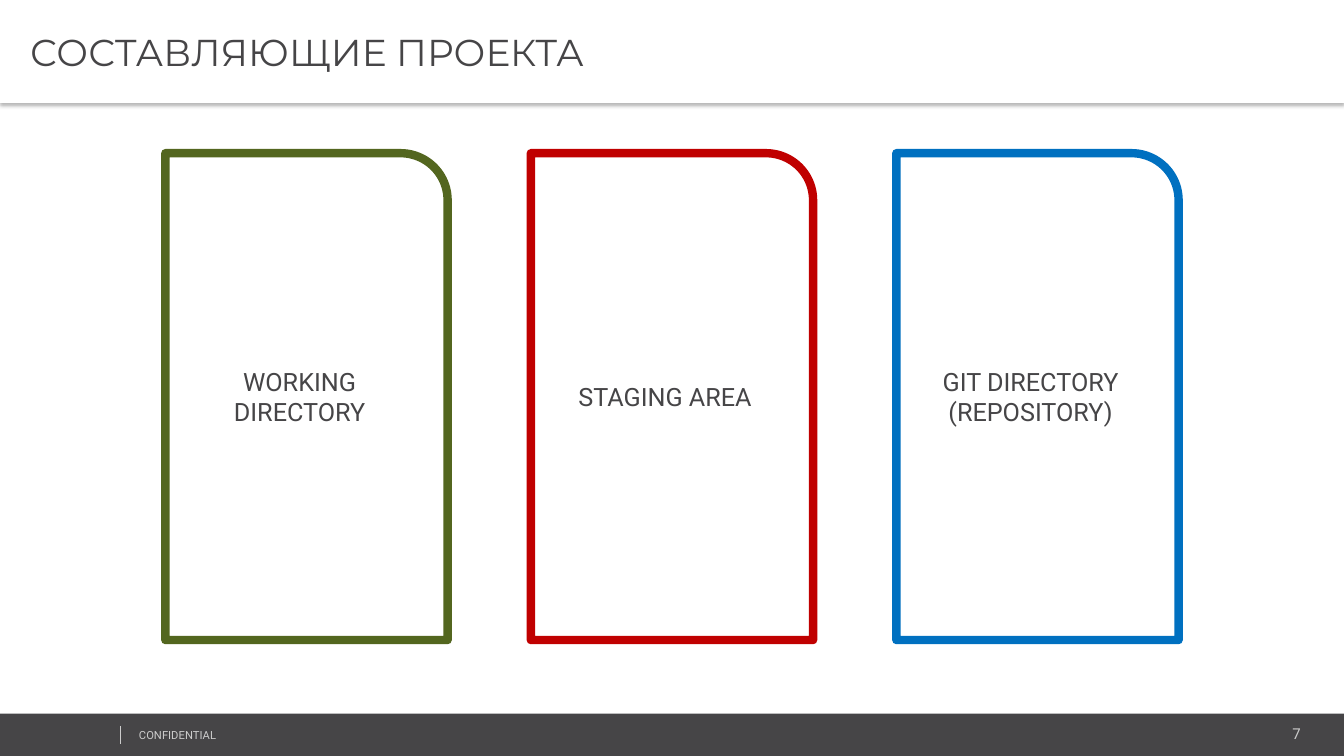
from lxml import etree
from pptx import Presentation
from pptx import util as u
from pptx.dml.color import RGBColor
from pptx.enum import shapes, text
from pptx.oxml.ns import qn

COLORS = {
    "white": "FFFFFF",
    "dark": "464547",
    "light": "CCCCCC",
    "shadow": "000000",
    "green": "53661F",
    "red": "C00000",
    "blue": "0070C0",
}
CARDS = [
    ("green", ["WORKING DIRECTORY"]),
    ("red", ["STAGING AREA"]),
    ("blue", ["GIT DIRECTORY", "(REPOSITORY)"]),
]


def rgb(name):
    """Return the named colour."""
    return RGBColor.from_string(COLORS[name])


def write(shape, lines, font, size, color, align, anchor=text.MSO_ANCHOR.MIDDLE):
    """Fill a shape with one styled paragraph per line."""
    frame = shape.text_frame
    frame.word_wrap = True
    frame.vertical_anchor = anchor
    frame.text = "\n".join(lines)
    for paragraph in frame.paragraphs:
        paragraph.alignment = align
        paragraph.font.name = font
        paragraph.font.size = u.Pt(size)
        paragraph.font.color.rgb = rgb(color)


def add_panel(slide, left, top, width, height, color):
    """Add a filled rectangle without an outline or shadow."""
    shape = slide.shapes.add_shape(
        shapes.MSO_SHAPE.RECTANGLE,
        u.Inches(left), u.Inches(top), u.Inches(width), u.Inches(height))
    shape.shadow.inherit = False
    shape.fill.solid()
    shape.fill.fore_color.rgb = rgb(color)
    shape.line.fill.background()
    return shape


def add_drop_shadow(shape):
    """Cast a soft shadow straight down from a shape."""
    effects = shape.element.spPr.find(qn("a:effectLst"))
    shadow = etree.SubElement(
        effects, qn("a:outerShdw"), blurRad=str(u.Pt(3.1)), dist=str(u.Pt(2)),
        dir="5400000", algn="t", rotWithShape="0")
    color = etree.SubElement(shadow, qn("a:srgbClr"), val=COLORS["shadow"])
    etree.SubElement(color, qn("a:alpha"), val="30000")


def add_header(slide, left, top, width, height):
    """Draw the title band."""
    band = add_panel(slide, left, top, width, height, "white")
    add_drop_shadow(band)
    write(band, ["СОСТАВЛЯЮЩИЕ ПРОЕКТА"], "Montserrat", 26.7, "dark", text.PP_ALIGN.LEFT)
    frame = band.text_frame
    frame.margin_left, frame.margin_right = u.Inches(0.3), u.Inches(0.07)
    frame.margin_top = frame.margin_bottom = u.Inches(0.04)


def add_footer(slide, left, top, width, height):
    """Draw the footer bar with its label, divider and page number."""
    add_panel(slide, left, top, width, height, "dark")
    labels = [
        ("7", 10.82, 0.06, 2.18, 0.28, 10.7, text.PP_ALIGN.RIGHT),
        ("CONFIDENTIAL", 1.28, 0.1, 3.38, 0.24, 8, text.PP_ALIGN.LEFT),
    ]
    for label, x, y, label_width, label_height, size, align in labels:
        box = slide.shapes.add_textbox(
            u.Inches(left + x), u.Inches(top + y),
            u.Inches(label_width), u.Inches(label_height))
        write(box, [label], "Roboto", size, "light", align, text.MSO_ANCHOR.TOP)
    x = u.Inches(left + 1.19)
    divider = slide.shapes.add_connector(
        shapes.MSO_CONNECTOR.STRAIGHT,
        x, u.Inches(top + 0.12), x, u.Inches(top + 0.3))
    divider.line.color.rgb = rgb("light")
    divider.line.width = u.Pt(0.25)
    etree.SubElement(divider.element.spPr, qn("a:effectLst"))


def add_cards(slide, left, top, width, height, card_width=2.8):
    """Spread the outlined cards evenly across the box."""
    step = (width - card_width) / (len(CARDS) - 1)
    for index, (color, lines) in enumerate(CARDS):
        card = slide.shapes.add_shape(
            shapes.MSO_SHAPE.ROUND_1_RECTANGLE,
            u.Inches(left + index * step), u.Inches(top),
            u.Inches(card_width), u.Inches(height))
        card.shadow.inherit = False
        card.fill.background()
        card.line.color.rgb = rgb(color)
        card.line.width = u.Pt(6)
        etree.SubElement(card.element.spPr.find(qn("a:ln")), qn("a:round"))
        write(card, lines, "Roboto", 18, "dark", text.PP_ALIGN.CENTER)


def main():
    """Build and save the slide."""
    presentation = Presentation()
    presentation.slide_width = u.Inches(13.33)
    presentation.slide_height = u.Inches(7.5)
    slide = presentation.slides.add_slide(presentation.slide_layouts[6])
    add_footer(slide, 0, 7.08, 13.35, 0.43)
    add_header(slide, 0, 0, 13.33, 1.02)
    add_cards(slide, 1.64, 1.52, 10.05, 4.83)
    presentation.save("out.pptx")


if __name__ == "__main__":
    main()
